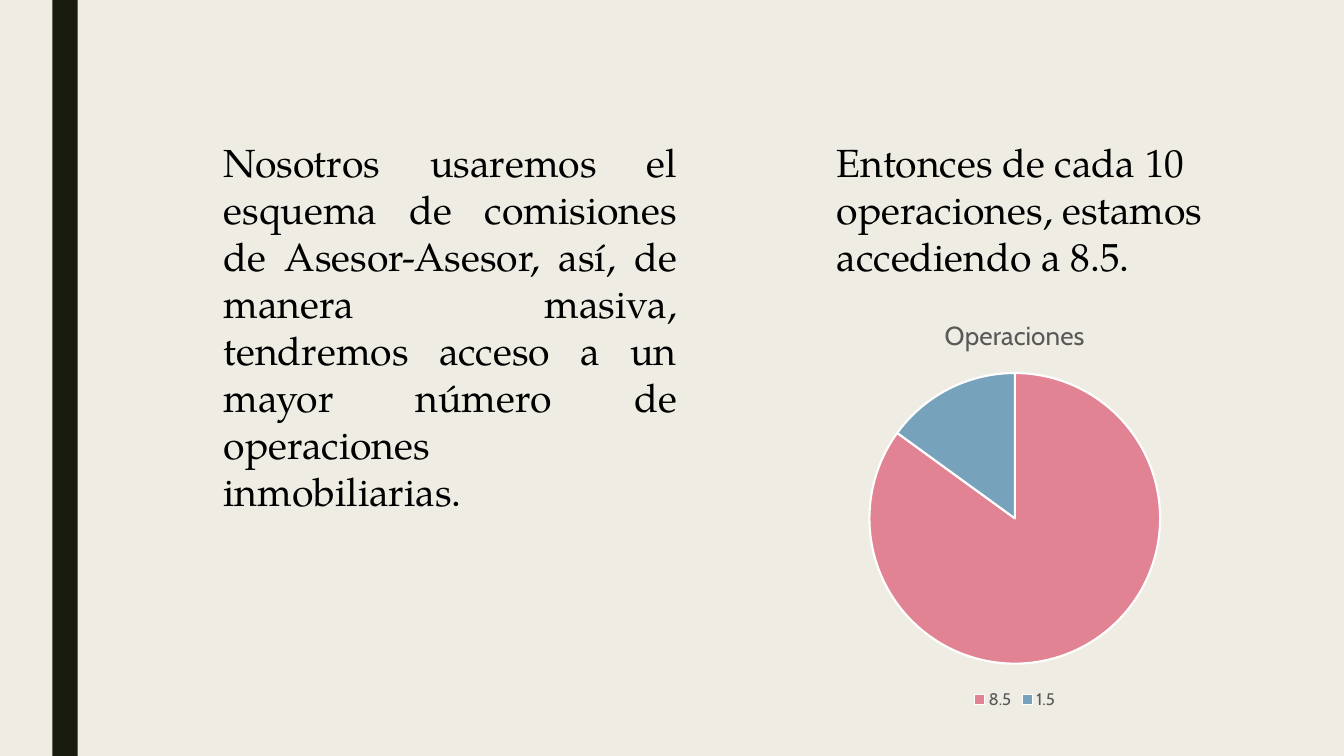
from lxml import etree
from pptx import Presentation
from pptx import util as u
from pptx.chart import data as cd
from pptx.dml import color
from pptx.enum import chart as ch, shapes, text
from pptx.oxml import ns

THEME = {
    "background": "EFEDE3", "bar": "191B0E", "body": "000000",
    "muted": "595959", "edge": "FFFFFF",
    "body_font": "TeX Gyre Pagella", "chart_font": "Cabin",
    "body_size": 28, "title_size": 18.6, "legend_size": 12, "chart_size": 10,
}
BAR = (0.52, 0, 0.25, 7.5)
PARAGRAPHS = [
    ("Nosotros usaremos el esquema de comisiones de Asesor-Asesor, así, "
     "de manera masiva, tendremos acceso a un mayor número de operaciones "
     "inmobiliarias.", (2.12, 1.32, 4.69, 3.4), text.PP_ALIGN.JUSTIFY),
    ("Entonces de cada 10 operaciones, estamos accediendo a 8.5.",
     (8.2, 1.32, 4.12, 1.51), text.PP_ALIGN.LEFT),
]
CHART_TITLE = "Operaciones"
CHART_BOX = (7.27, 2.96, 5.59, 4.12)
SLICES = [("8.5", 85, "E28394"), ("1.5", 15, "77A2BB")]
PIE_LAYOUT = {"x": 0.24, "y": 0.18, "w": 0.52, "h": 0.7}


def inches(box):
    return [u.Inches(v) for v in box]


def rgb(name):
    return color.RGBColor.from_string(THEME.get(name, name))


def paint(fill, name):
    fill.solid()
    fill.fore_color.rgb = rgb(name)


def style(font, face, size, name):
    font.name = THEME[face]
    font.size = u.Pt(THEME[size])
    font.color.rgb = rgb(name)
    font.bold = False


def add_bar(s):
    sp = s.shapes.add_shape(shapes.MSO_SHAPE.RECTANGLE, *inches(BAR))
    sp.shadow.inherit = False
    paint(sp.fill, "bar")
    sp.line.fill.background()


def add_paragraph(s, words, box, align):
    tf = s.shapes.add_textbox(*inches(box)).text_frame
    tf.word_wrap = True
    tf.auto_size = text.MSO_AUTO_SIZE.SHAPE_TO_FIT_TEXT
    p = tf.paragraphs[0]
    p.alignment = align
    r = p.add_run()
    r.text = words
    style(r.font, "body_font", "body_size", "body")


def place_plot(chart):
    area = chart.plots[0]._element.getparent()
    for old in area.findall(ns.qn("c:layout")):
        area.remove(old)
    layout = etree.Element(ns.qn("c:layout"))
    manual = etree.SubElement(layout, ns.qn("c:manualLayout"))
    settings = {"layoutTarget": "inner", "xMode": "edge", "yMode": "edge", **PIE_LAYOUT}
    for tag, value in settings.items():
        etree.SubElement(manual, ns.qn("c:" + tag)).set("val", str(value))
    area.insert(0, layout)


def add_pie(s):
    data = cd.CategoryChartData()
    data.categories = [label for label, _, _ in SLICES]
    data.add_series(CHART_TITLE, [value for _, value, _ in SLICES])
    chart = s.shapes.add_chart(ch.XL_CHART_TYPE.PIE, *inches(CHART_BOX), data).chart
    style(chart.font, "chart_font", "chart_size", "body")

    chart.has_title = True
    r = chart.chart_title.text_frame.paragraphs[0].add_run()
    r.text = CHART_TITLE
    style(r.font, "chart_font", "title_size", "muted")
    chart.chart_title.include_in_layout = False

    chart.has_legend = True
    chart.legend.position = ch.XL_LEGEND_POSITION.BOTTOM
    chart.legend.include_in_layout = False
    style(chart.legend.font, "chart_font", "legend_size", "muted")

    plot = chart.plots[0]
    plot.vary_by_categories = True
    for i, (_, _, fill) in enumerate(SLICES):
        point = plot.series[0].points[i].format
        paint(point.fill, fill)
        point.line.color.rgb = rgb("edge")
        point.line.width = u.Pt(1.5)
    place_plot(chart)


def main():
    prs = Presentation()
    prs.slide_width, prs.slide_height = inches((13.33, 7.5))
    s = prs.slides.add_slide(prs.slide_layouts[6])
    paint(s.background.fill, "background")
    add_bar(s)
    for words, box, align in PARAGRAPHS:
        add_paragraph(s, words, box, align)
    add_pie(s)
    prs.save("out.pptx")


if __name__ == "__main__":
    main()
